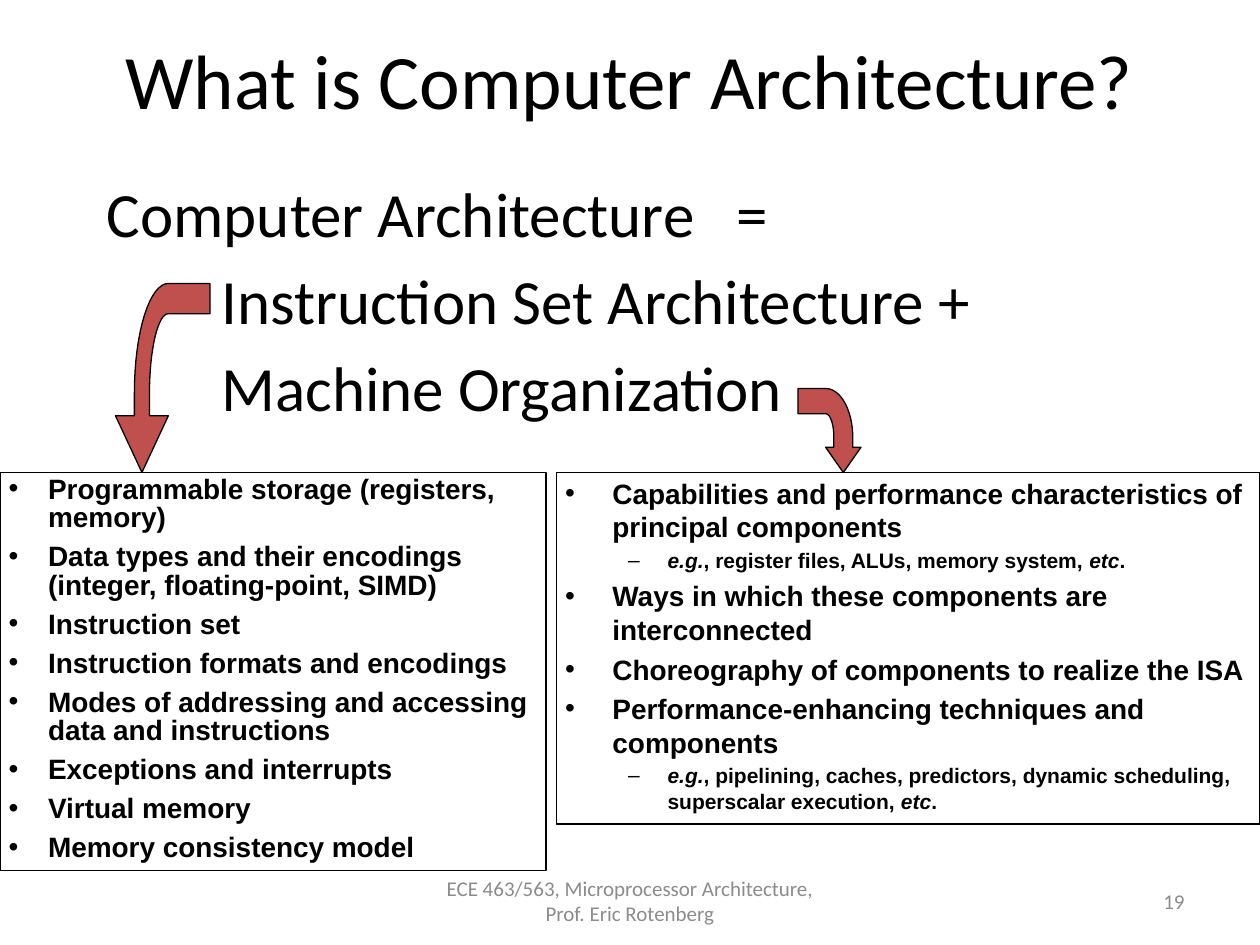
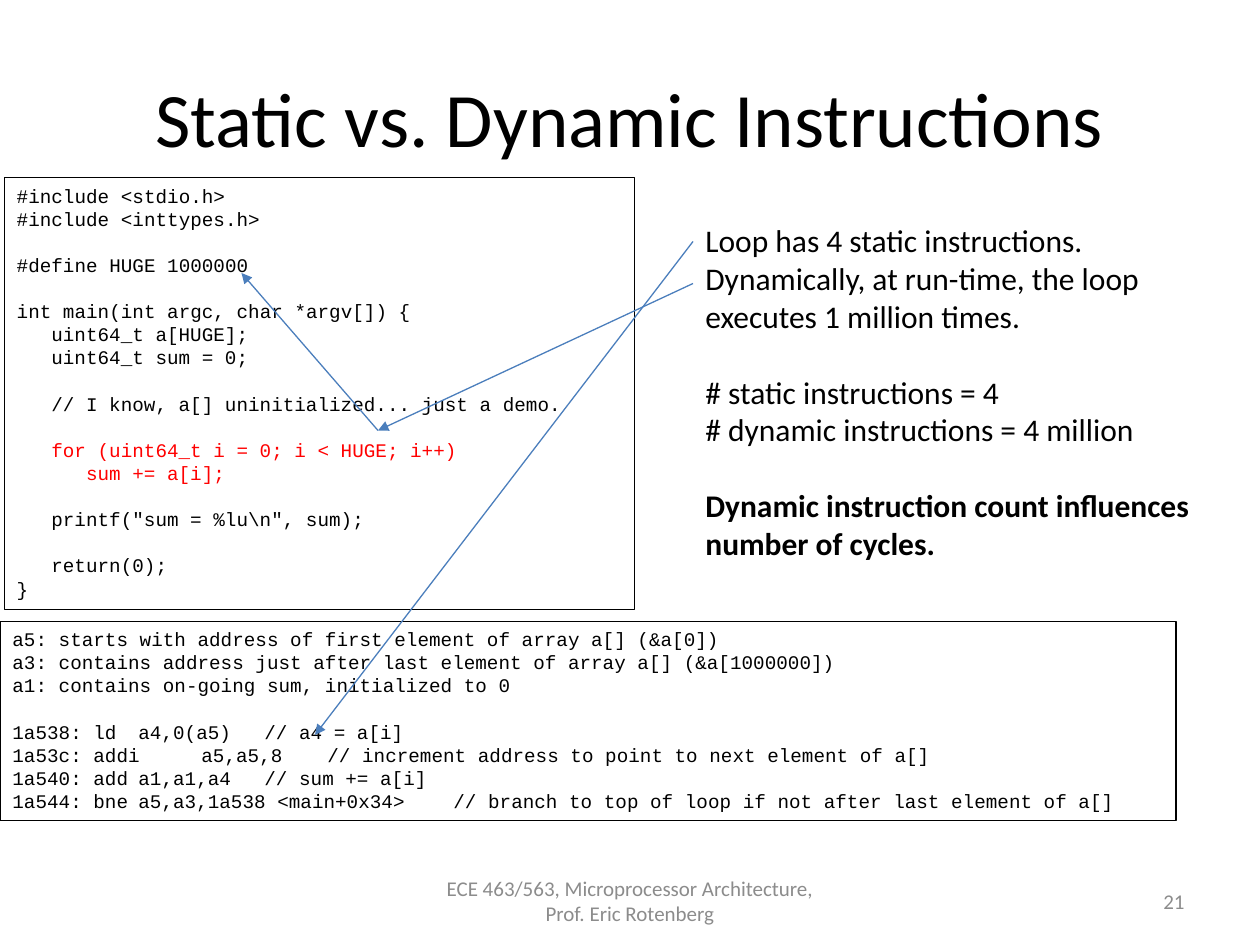
from math import cos, pi, sin

from lxml.etree import SubElement
from pptx import Presentation
from pptx.dml.color import RGBColor
from pptx.enum.shapes import MSO_CONNECTOR, MSO_SHAPE
from pptx.enum.text import MSO_ANCHOR, PP_ALIGN
from pptx.oxml.ns import qn
from pptx.util import Pt

BLACK, GRAY, RED = "000000", "8C8C8C", "FF0000"
ARROW_FILL, POINTER = "C0504D", "4B7EBC"
BODY_FONT, BOX_FONT, CODE_FONT = "Calibri", "Arial", "Courier New"
FOOTER = "ECE 463/563, Microprocessor Architecture, Prof. Eric Rotenberg"
CODE_SIZE = 11
CHAR = 0.6 * CODE_SIZE
CODE_LINE = 13.2
NOTE_LINE = 21.6

ISA_ITEMS = [
    "Programmable storage (registers, memory)",
    "Data types and their encodings (integer, floating-point, SIMD)",
    "Instruction set",
    "Instruction formats and encodings",
    "Modes of addressing and accessing data and instructions",
    "Exceptions and interrupts",
    "Virtual memory",
    "Memory consistency model",
]


def example(text):
    runs = [("e.g.", True), (f", {text}, ", False), ("etc", True), (".", False)]
    return runs, dict(size=12, left=58.5, hang=22.5, bullet="–", before=2.4)


ORGANIZATION_ITEMS = [
    "Capabilities and performance characteristics of principal components",
    example("register files, ALUs, memory system"),
    "Ways in which these components are interconnected",
    "Choreography of components to realize the ISA",
    "Performance-enhancing techniques and components",
    example("pipelining, caches, predictors, dynamic scheduling, superscalar execution"),
]

INDENT = dict(left=3 * CHAR)
PROGRAM = [
    ["#include <stdio.h>", "#include <inttypes.h>"],
    ["#define HUGE 1000000"],
    ["int main(int argc, char *argv[]) {",
     ("uint64_t a[HUGE];", INDENT),
     ("uint64_t sum = 0;", INDENT)],
    [("// I know, a[] uninitialized... just a demo.", INDENT)],
    [("for (uint64_t i = 0; i < HUGE; i++)", dict(INDENT, color=RED)),
     ("sum += a[i];", dict(left=6 * CHAR, color=RED))],
    [('printf("sum = %lu\\n", sum);', INDENT)],
    [("return(0);", INDENT), "}"],
]
ASSEMBLY = [
    ["a5: starts with address of first element of array a[] (&a[0])",
     "a3: contains address just after last element of array a[] (&a[1000000])",
     "a1: contains on-going sum, initialized to 0"],
    ["1a538: ld\ta4,0(a5)\t// a4 = a[i]",
     "1a53c: addi\ta5,a5,8\t// increment address to point to next element of a[]",
     "1a540: add\ta1,a1,a4\t// sum += a[i]",
     "1a544: bne\ta5,a3,1a538 <main+0x34>\t"
     "// branch to top of loop if not after last element of a[]"],
]
NOTES = [
    ["Loop has 4 static instructions.",
     "Dynamically, at run-time, the loop executes 1 million times."],
    ["# static instructions = 4", "# dynamic instructions = 4 million"],
    [("Dynamic instruction count influences number of cycles.", dict(bold=True))],
]


def rgb(color):
    return RGBColor.from_string(color)


def spaced_blocks(blocks, gap):
    items = []
    for i, block in enumerate(blocks):
        for j, item in enumerate(block):
            text, fmt = item if isinstance(item, tuple) else (item, {})
            items.append((text, dict(fmt, before=gap if i and not j else 0)))
    return items


def add_paragraph(p, content, font=BODY_FONT, size=18, color=BLACK, bold=False,
                  align=PP_ALIGN.LEFT, left=0, hang=0, before=0, after=0,
                  spacing=1.0, bullet=None, tabs=()):
    p.alignment = align
    p.line_spacing = spacing
    p.space_before, p.space_after = Pt(before), Pt(after)
    pPr = p._p.get_or_add_pPr()
    pPr.set("marL", str(Pt(left)))
    pPr.set("indent", str(Pt(-hang)))
    if bullet:
        SubElement(pPr, qn("a:buFont"), typeface=BOX_FONT)
        SubElement(pPr, qn("a:buChar"), char=bullet)
    if tabs:
        tab_list = SubElement(pPr, qn("a:tabLst"))
        for pos in tabs:
            SubElement(tab_list, qn("a:tab"), pos=str(Pt(pos)), algn="l")
    runs = [(content, False)] if isinstance(content, str) else content
    for text, italic in runs:
        r = p.add_run()
        r.text = text
        f = r.font
        f.name, f.size, f.bold, f.italic = font, Pt(size), bold, italic
        f.color.rgb = rgb(color)


def add_text(s, box, items, outline=None, anchor=MSO_ANCHOR.TOP,
             insets=(7.2, 3.6), **fmt):
    x, y, w, h = map(Pt, box)
    if outline:
        sp = s.shapes.add_shape(MSO_SHAPE.RECTANGLE, x, y, w, h)
        sp.shadow.inherit = False
        sp.fill.background()
        sp.line.color.rgb = rgb(BLACK)
        sp.line.width = Pt(outline)
    else:
        sp = s.shapes.add_textbox(x, y, w, h)
    tf = sp.text_frame
    tf.word_wrap = True
    tf.vertical_anchor = anchor
    tf.margin_left = tf.margin_right = Pt(insets[0])
    tf.margin_top = tf.margin_bottom = Pt(insets[1])
    for i, item in enumerate(items):
        content, own = item if isinstance(item, tuple) else (item, {})
        p = tf.add_paragraph() if i else tf.paragraphs[0]
        add_paragraph(p, content, **{**fmt, **own})


def add_frame(prs, title, title_box, number):
    s = prs.slides.add_slide(prs.slide_layouts[6])
    middle = dict(anchor=MSO_ANCHOR.MIDDLE)
    add_text(s, title_box, [title], size=44, align=PP_ALIGN.CENTER, **middle)
    add_text(s, (246, 500.5, 228, 28.75), [FOOTER], size=12, color=GRAY,
             align=PP_ALIGN.CENTER, **middle)
    add_text(s, (516, 500.5, 168, 28.75), [str(number)], size=12, color=GRAY,
             align=PP_ALIGN.RIGHT, **middle)
    return s


def quarter_turn(cx, cy, rx, ry, steps=16):
    angles = [pi / 2 * i / steps for i in range(steps + 1)]
    return [(cx + rx * sin(a), cy - ry * cos(a)) for a in angles]


def add_bent_arrow(s, box, thickness, flip=False):
    x, y, w, h = box
    tip, head, bend_x, bend_y, neck = 0.72, 0.28, 0.44, 0.58, 0.7
    outer, inner = tip + thickness / 2, tip - thickness / 2
    outline = [(0, 0), *quarter_turn(bend_x, bend_y, outer - bend_x, bend_y),
               (outer, neck), (tip + head, neck), (tip, 1),
               (tip - head, neck), (inner, neck),
               *reversed(quarter_turn(bend_x, bend_y, inner - bend_x,
                                      bend_y - thickness)),
               (0, thickness)]
    points = [(Pt(x + w * (1 - u if flip else u)), Pt(y + h * v))
              for u, v in outline]
    builder = s.shapes.build_freeform(*points[0])
    builder.add_line_segments(points[1:], close=True)
    sp = builder.convert_to_shape()
    sp.shadow.inherit = False
    sp.fill.solid()
    sp.fill.fore_color.rgb = rgb(ARROW_FILL)
    sp.line.color.rgb = rgb(BLACK)
    sp.line.width = Pt(0.75)


def add_pointer(s, start, end):
    c = s.shapes.add_connector(MSO_CONNECTOR.STRAIGHT, *map(Pt, start + end))
    c.line.color.rgb = rgb(POINTER)
    c.line.width = Pt(0.75)
    SubElement(c.line._get_or_add_ln(), qn("a:tailEnd"), type="triangle")
    SubElement(c._element.spPr, qn("a:effectLst"))


def architecture_slide(prs):
    s = add_frame(prs, "What is Computer Architecture?", (54, 0, 612, 90), 19)
    part = dict(left=65.5)
    add_text(s, (54, 96, 612, 174),
             [("Computer Architecture\t=", dict(tabs=[360])),
              ("Instruction Set Architecture +", part),
              ("Machine Organization", part)],
             size=36, before=6.5)
    bullets = dict(outline=1, insets=(5, 2.2), font=BOX_FONT, size=16,
                   bold=True, bullet="•")
    add_text(s, (0, 270, 312, 227.5), ISA_ITEMS, left=22.5, hang=22.5,
             spacing=0.85, after=6, **bullets)
    add_text(s, (318, 270, 402, 201), ORGANIZATION_ITEMS, left=27, hang=27,
             before=3.4, **bullets)
    add_bent_arrow(s, (456, 222, 36, 48), 0.3)
    add_bent_arrow(s, (66, 162, 54, 108), 0.16, flip=True)


def instructions_slide(prs):
    s = add_frame(prs, "Static vs. Dynamic Instructions", (36, 21.6, 648, 90), 21)
    code = dict(outline=0.75, font=CODE_FONT, size=CODE_SIZE)
    add_text(s, (0, 355, 672, 113.75), spaced_blocks(ASSEMBLY, CODE_LINE),
             tabs=[n * CHAR for n in (15, 32, 41)], **code)
    add_text(s, (2.5, 101.5, 360, 247), spaced_blocks(PROGRAM, CODE_LINE), **code)
    add_text(s, (396, 123, 306, 204), spaced_blocks(NOTES, NOTE_LINE))
    loop = (216, 246)
    add_pointer(s, (396, 138), (180, 420))
    add_pointer(s, (396, 162), loop)
    add_pointer(s, loop, (138, 156))


def main():
    prs = Presentation()
    prs.slide_width, prs.slide_height = Pt(720), Pt(540)
    architecture_slide(prs)
    instructions_slide(prs)
    prs.save("out.pptx")


if __name__ == "__main__":
    main()
